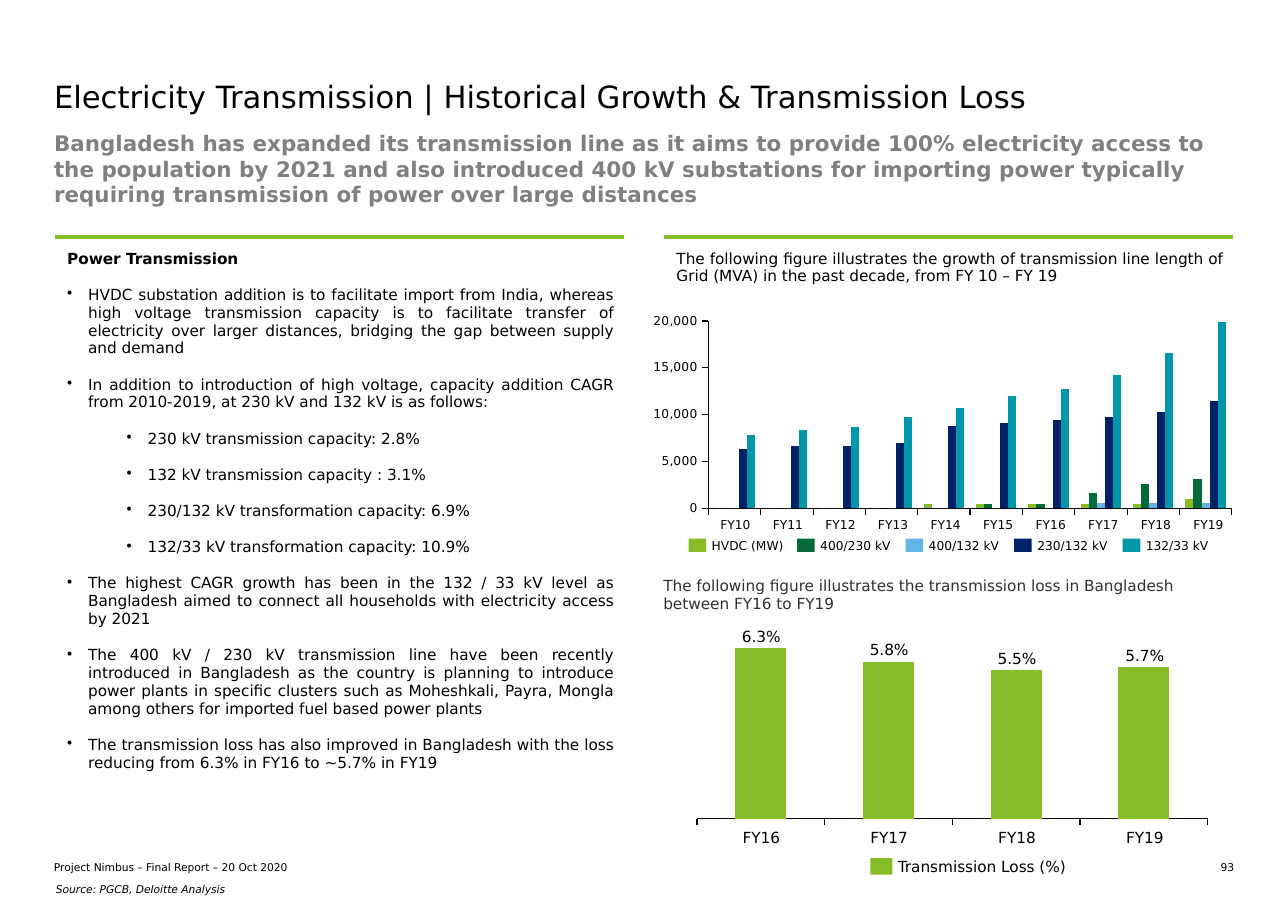
import pptx
import pptx.util
import pptx.chart.data
import pptx.dml.color
import pptx.enum.chart
import pptx.enum.shapes
import pptx.enum.text
import pptx.oxml
import pptx.oxml.ns

Inches = pptx.util.Inches
Pt = pptx.util.Pt
rgb = pptx.dml.color.RGBColor.from_string
qn = pptx.oxml.ns.qn
align = pptx.enum.text.PP_ALIGN
anchor = pptx.enum.text.MSO_ANCHOR
tick = pptx.enum.chart.XL_TICK_MARK
spot = pptx.enum.chart.XL_TICK_LABEL_POSITION
kind = pptx.enum.chart.XL_CHART_TYPE

theme = {
    "font": "DejaVu Sans",
    "black": "000000", "grey": "808080", "dark": "313131", "white": "FFFFFF",
    "lime": "86BC25", "green": "046A38", "sky": "62B5E5", "navy": "012169", "teal": "0097A9",
    "title": 20, "lead": 14, "body": 10, "label": 8, "foot": 7,
}

deck = pptx.Presentation()
deck.slide_width = Inches(11.69)
deck.slide_height = Inches(8.27)
slide = deck.slides.add_slide(deck.slide_layouts[6])


def add_run(para, words, size="body", color="black", bold=False, italic=False):
    run = para.add_run()
    run.text = words
    run.font.name = theme["font"]
    run.font.size = Pt(theme[size])
    run.font.color.rgb = rgb(theme[color])
    run.font.bold = bold
    run.font.italic = italic


def add_text(place, words, size="body", color="black", side=align.LEFT,
             hold=anchor.TOP, wrap=False, pad=0, **style):
    box = slide.shapes.add_textbox(*map(Inches, place))
    frame = box.text_frame
    frame.word_wrap = wrap
    frame.vertical_anchor = hold
    frame.margin_left = frame.margin_right = Inches(pad)
    frame.margin_top = frame.margin_bottom = Inches(pad)
    para = frame.paragraphs[0]
    para.alignment = side
    add_run(para, words, size, color, **style)
    return para


add_text((0.49, 0.71, 10.71, 0.47),
         "Electricity Transmission | Historical Growth & Transmission Loss", "title", wrap=True)
add_text((0.49, 1.18, 10.71, 0.57),
         "Bangladesh has expanded its transmission line as it aims to provide 100% electricity access "
         "to the population by 2021 and also introduced 400 kV substations for importing power "
         "typically requiring transmission of power over large distances",
         "lead", "grey", wrap=True, bold=True)

points = [
    (None, "Power Transmission"),
    (0, "HVDC substation addition is to facilitate import from India, whereas high voltage "
        "transmission capacity is to facilitate transfer of electricity over larger distances, "
        "bridging the gap between supply and demand"),
    (0, "In addition to introduction of high voltage, capacity addition CAGR from 2010-2019, "
        "at 230 kV and 132 kV is as follows:"),
    (1, "230 kV transmission capacity: 2.8%"),
    (1, "132 kV transmission capacity : 3.1%"),
    (1, "230/132 kV transformation capacity: 6.9%"),
    (1, "132/33 kV transformation capacity: 10.9%"),
    (0, "The highest CAGR growth has been in the 132 / 33 kV level as Bangladesh aimed to connect "
        "all households with electricity access by 2021"),
    (0, "The 400 kV / 230 kV transmission line have been recently introduced in Bangladesh as the "
        "country is planning to introduce power plants in specific clusters such as Moheshkali, "
        "Payra, Mongla among others for imported fuel based power plants"),
    (0, "The transmission loss has also improved in Bangladesh with the loss reducing from 6.3% "
        "in FY16 to ~5.7% in FY19"),
]
growth = [(None, "The following figure illustrates the growth of transmission line length of "
                 "Grid (MVA) in the past decade, from FY 10 – FY 19")]
edges = [("lnL", "white", 1), ("lnR", "white", 1), ("lnT", "lime", 3), ("lnB", "white", 3)]

for left, high, lines, bold in [(0.49, 5, points, True), (6.02, 0.5, growth, False)]:
    table = slide.shapes.add_table(1, 1, Inches(left), Inches(2.15), Inches(5.18), Inches(high)).table
    table.first_row = table.horz_banding = False
    cell = table.cell(0, 0)
    cell.margin_left = cell.margin_top = Inches(0.12)
    cell.margin_right = Inches(0.1)
    cell.margin_bottom = Inches(0.05)
    props = cell._tc.get_or_add_tcPr()
    for tag, color, width in edges:
        props.append(pptx.oxml.parse_xml(
            f'<a:{tag} {pptx.oxml.ns.nsdecls("a")} w="{Pt(width)}"><a:solidFill>'
            f'<a:srgbClr val="{theme[color]}"/></a:solidFill></a:{tag}>'))
    cell.fill.background()
    for row, (level, words) in enumerate(lines):
        para = cell.text_frame.add_paragraph() if row else cell.text_frame.paragraphs[0]
        para.alignment = align.JUSTIFY
        if level is not None:
            para.level = level
            mark = para._p.get_or_add_pPr()
            mark.set("marL", str(Inches((0.19, 0.73)[level])))
            mark.set("indent", str(Inches(-0.19)))
            mark.append(pptx.oxml.parse_xml(
                f'<a:buChar {pptx.oxml.ns.nsdecls("a")} char="•"/>'))
        para.space_before = Pt(6 if row else 0)
        para.space_after = Pt(6)
        add_run(para, words, bold=bold and row == 0)

add_text((6.02, 5.23, 5.01, 0.34),
         "The following figure illustrates the transmission loss in Bangladesh between FY16 to FY19",
         color="dark", wrap=True)

years = [f"FY{year}" for year in range(10, 20)]
volts = [
    ("HVDC (MW)", "lime", [0, 0, 0, 0, 500, 500, 500, 500, 500, 1000]),
    ("400/230 kV", "green", [0, 0, 0, 0, 0, 500, 500, 1600, 2600, 3100]),
    ("400/132 kV", "sky", [0, 0, 0, 0, 0, 0, 0, 600, 600, 600]),
    ("230/132 kV", "navy", [6300, 6700, 6700, 7000, 8800, 9100, 9400, 9700, 10300, 11500]),
    ("132/33 kV", "teal", [7800, 8400, 8700, 9700, 10700, 12000, 12700, 14200, 16600, 19900]),
]
loss = [("Transmission Loss (%)", "lime", [100, 92, 87, 89])]
charts = [
    (kind.COLUMN_CLUSTERED, (5.83, 2.82, 5.46, 1.89), years, volts, 20000, 0,
     (0.11, 0.05, 0.87, 0.9), "label"),
    (kind.COLUMN_STACKED, (6.23, 5.8, 4.83, 1.72), years[6:], loss, 100, 100,
     (0.02, 0.05, 0.96, 0.9), "body"),
]

for form, place, cats, rows, top, lap, inner, size in charts:
    data = pptx.chart.data.CategoryChartData(number_format="#,##0")
    data.categories = cats
    for name, color, vals in rows:
        data.add_series(name, vals)
    chart = slide.shapes.add_chart(form, *map(Inches, place), data).chart
    chart.has_title = chart.has_legend = False
    chart.font.name = theme["font"]
    chart.font.size = Pt(theme[size])
    chart.font.color.rgb = rgb(theme["black"])
    plot = chart.plots[0]
    plot.vary_by_categories = False
    plot.gap_width = 150
    plot.overlap = lap
    for series, (name, color, vals) in zip(plot.series, rows):
        series.format.fill.solid()
        series.format.fill.fore_color.rgb = rgb(theme[color])
    for axis in (chart.category_axis, chart.value_axis):
        axis.has_major_gridlines = False
        axis.major_tick_mark = tick.OUTSIDE
        axis.minor_tick_mark = tick.NONE
        axis.format.line.color.rgb = rgb(theme["black"])
        axis.format.line.width = Pt(0.75)
    chart.category_axis.tick_label_position = spot.NONE
    scale = chart.value_axis
    scale.minimum_scale = 0
    scale.maximum_scale = top
    scale.major_unit = top / 4
    scale.tick_labels.number_format = "#,##0"
    scale.tick_labels.number_format_is_linked = False
    scale.visible = form == kind.COLUMN_CLUSTERED
    area = chart._chartSpace.chart.plotArea
    for old in area.findall(qn("c:layout")):
        area.remove(old)
    sides = "".join(f'<c:{side} val="{part}"/>' for side, part in zip("xywh", inner))
    area.insert(0, pptx.oxml.parse_xml(
        f'<c:layout {pptx.oxml.ns.nsdecls("c")}><c:manualLayout><c:layoutTarget val="inner"/>'
        f'<c:xMode val="edge"/><c:yMode val="edge"/>{sides}</c:manualLayout></c:layout>'))

for slot, year in enumerate(years):
    add_text((6.53 + 0.477 * slot, 4.7, 0.29, 0.13), year, "label", side=align.CENTER)
rates = [("6.3%", 5.69), ("5.8%", 5.81), ("5.5%", 5.89), ("5.7%", 5.86)]
for slot, (year, (rate, top)) in enumerate(zip(years[6:], rates)):
    left = 6.7 + 1.16 * slot
    add_text((left, 7.52, 0.42, 0.17), year, side=align.CENTER)
    add_text((left, top, 0.42, 0.17), rate, side=align.CENTER, hold=anchor.BOTTOM)

keys = [(name, color, "label", 6.25 + 0.985 * slot, 4.89, 0.16, 0.12, 0.66)
        for slot, (name, color, vals) in enumerate(volts)]
keys.append((loss[0][0], "lime", "body", 7.9, 7.79, 0.2, 0.15, 1.6))
for name, color, size, left, top, wide, high, span in keys:
    key = slide.shapes.add_shape(pptx.enum.shapes.MSO_SHAPE.RECTANGLE,
                                 *map(Inches, (left, top, wide, high)))
    key.shadow.inherit = False
    key.fill.solid()
    key.fill.fore_color.rgb = rgb(theme[color])
    key.line.fill.background()
    add_text((left + wide + 0.05, top - 0.01, span, high + 0.02), name, size, hold=anchor.MIDDLE)

add_text((0.49, 7.81, 4.83, 0.12), "Project Nimbus – Final Report – 20 Oct 2020", "foot",
         hold=anchor.BOTTOM, wrap=True)
add_text((10.75, 7.81, 0.45, 0.12), "93", "foot", side=align.RIGHT, wrap=True)
source = add_text((0.41, 7.94, 10.87, 0.25), "Source: PGCB, Deloitte Analysis", "foot",
                  hold=anchor.MIDDLE, wrap=True, pad=0.1, italic=True)
source.line_spacing = 1.06

deck.save("out.pptx")
